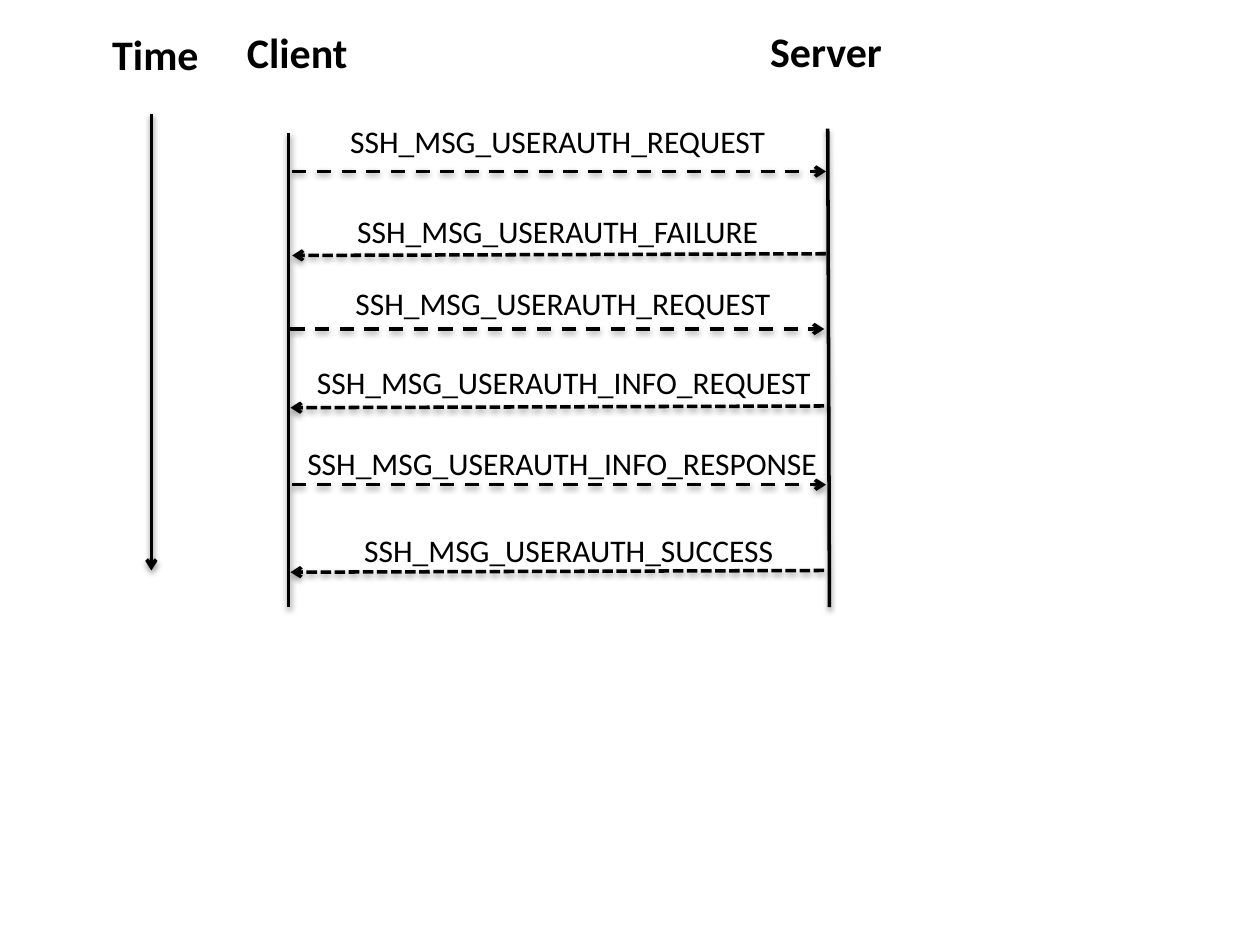
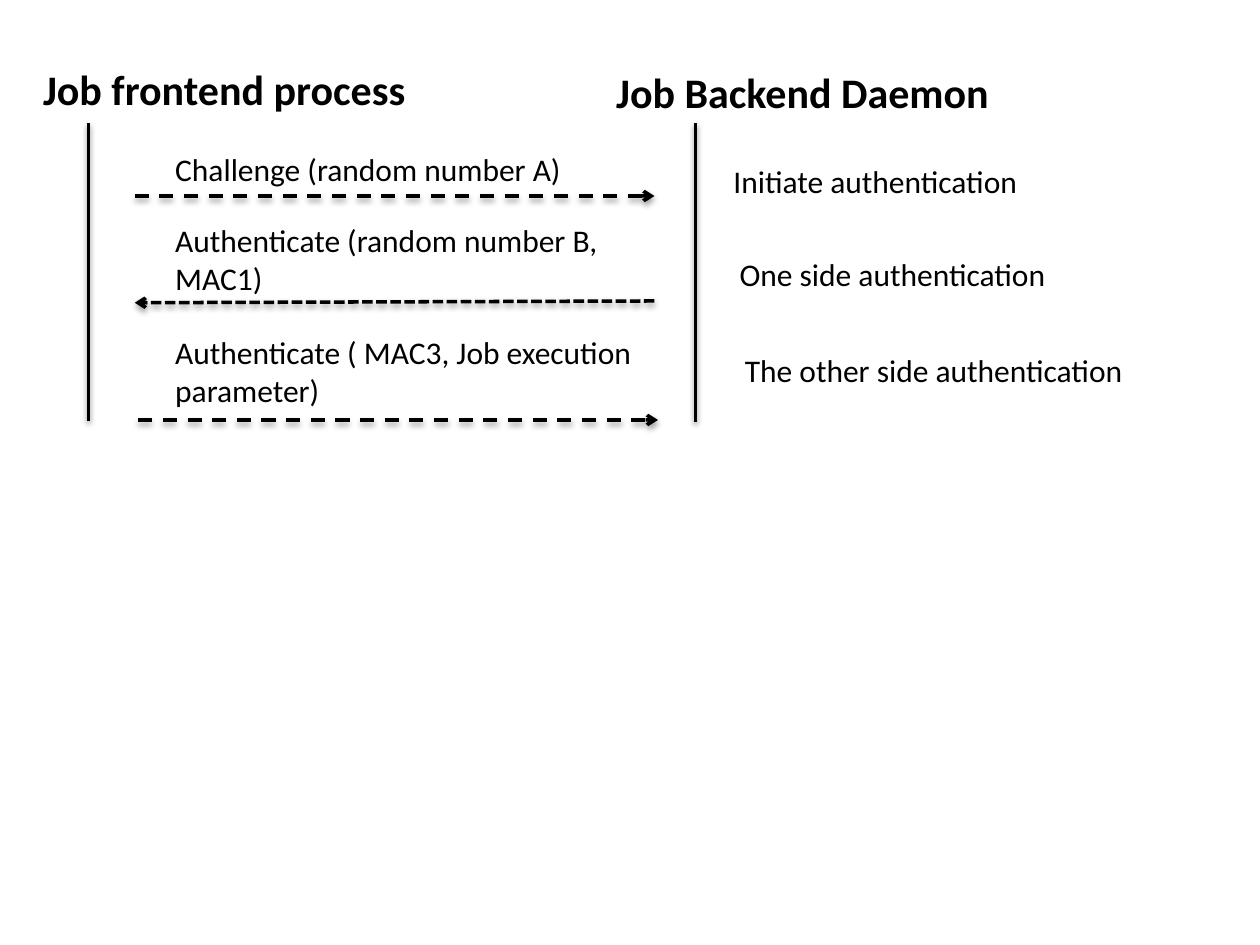
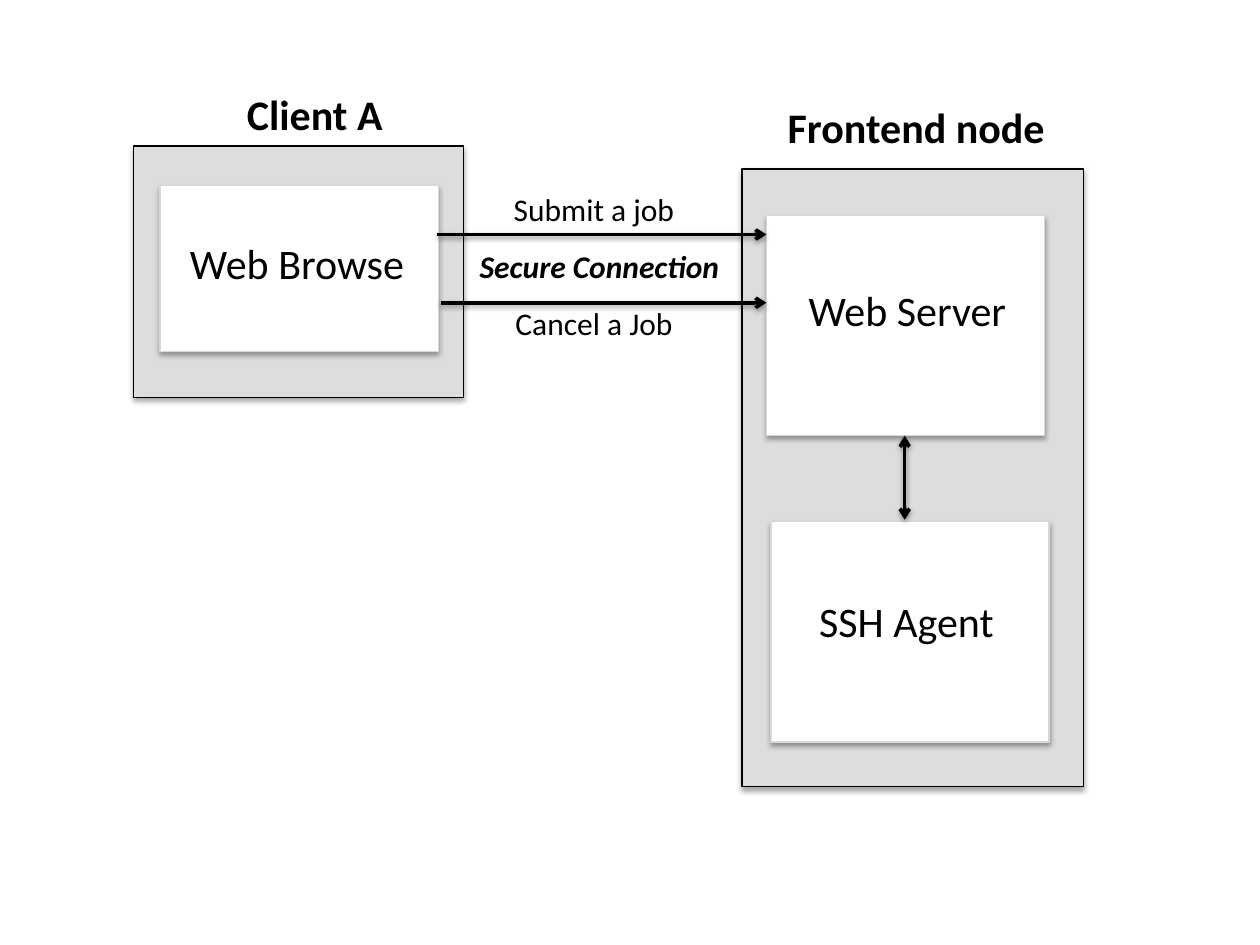
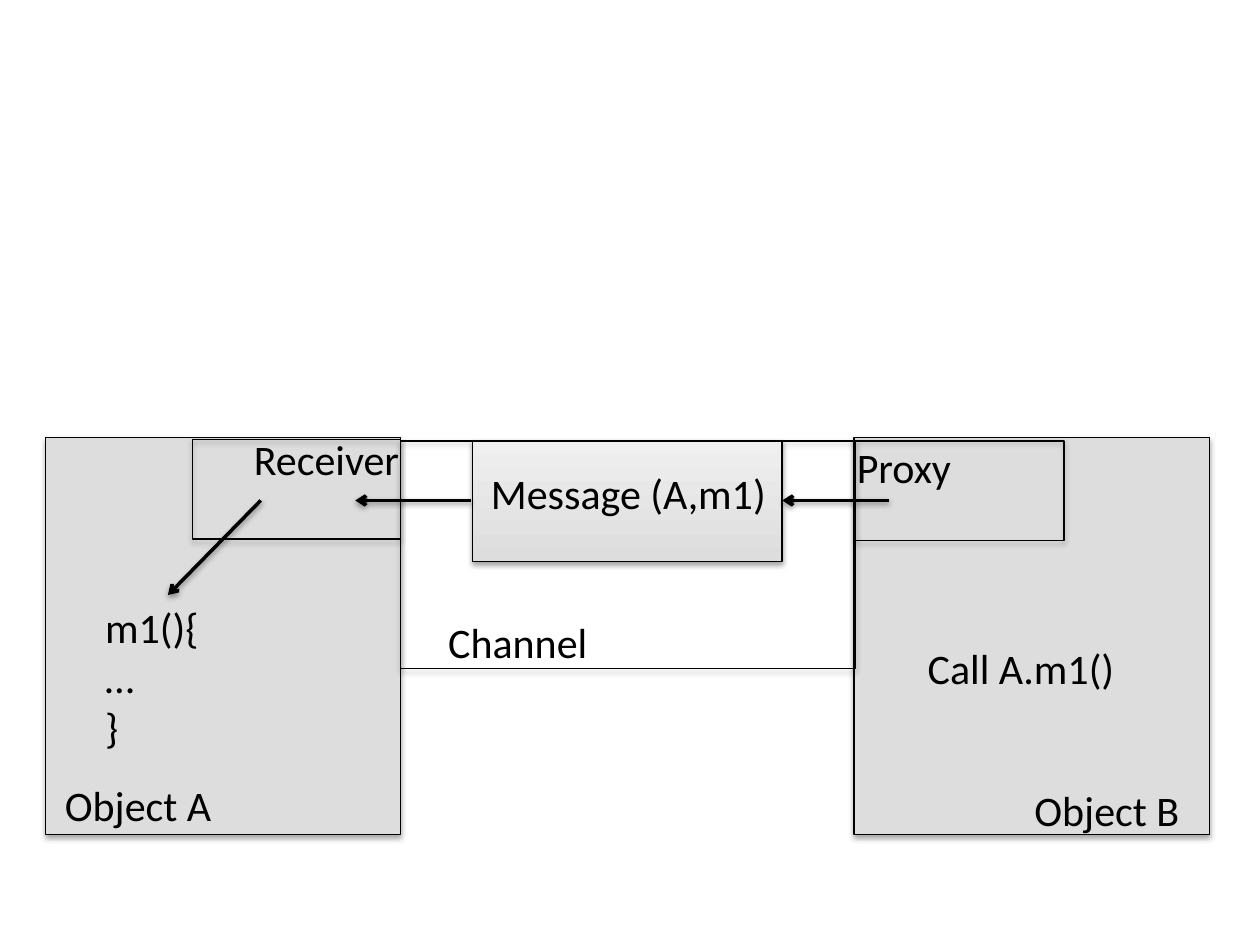
from lxml.etree import SubElement
from pptx import Presentation
from pptx.dml.color import RGBColor
from pptx.enum.dml import MSO_LINE
from pptx.enum.shapes import MSO_CONNECTOR, MSO_SHAPE
from pptx.enum.text import MSO_AUTO_SIZE
from pptx.oxml.ns import qn
from pptx.util import Pt

BLACK = RGBColor(0x00, 0x00, 0x00)
WHITE = RGBColor(0xFF, 0xFF, 0xFF)
GREY = RGBColor(0xDD, 0xDD, 0xDD)
PALE = RGBColor(0xEF, 0xEF, 0xEF)
EDGE = RGBColor(0xD8, 0xD8, 0xD8)
FONT = "Calibri"
BIG, SMALL = 24, 18

# Labels: text, left, top, width, size, style ("b", "i"), lines of height
# Lines: x1, y1, x2, y2, ends ("head", "tail")
# Messages: text, left, top, width, lines of height, arrow left, arrow y
LOGIN = {
    "labels": [
        ("Client", 134, 11.5, 229, BIG, "b", 1),
        ("Server", 433, 11, 259, BIG, "b", 1),
        ("Time", 57, 13, 229, BIG, "b", 1),
    ],
    "lines": [
        (165, 76, 165, 347, ""),
        (473, 73.5, 474, 347, ""),
        (86.5, 65, 86.5, 326, "tail"),
    ],
    "span": 305,
    "messages": [
        ("SSH_MSG_USERAUTH_REQUEST", 193, 66, 300, 1, 167, 98),
        ("SSH_MSG_USERAUTH_FAILURE", 197, 117.5, 300, 1, 167, 145),
        ("SSH_MSG_USERAUTH_REQUEST", 196, 159, 300, 1, 166, 188),
        ("SSH_MSG_USERAUTH_INFO_REQUEST", 174, 204, 300, 1, 166, 232),
        ("SSH_MSG_USERAUTH_INFO_RESPONSE", 168.5, 250, 331, 1, 167, 277),
        ("SSH_MSG_USERAUTH_SUCCESS", 201, 300, 300, 1, 166, 326),
    ],
}
DAEMON = {
    "labels": [
        ("Job frontend process", 17.5, 33, 229, BIG, "b", 1),
        ("Job Backend Daemon", 345, 34.5, 259, BIG, "b", 1),
        ("Initiate authentication", 412, 89, 300, SMALL, "", 1),
        ("One side authentication", 415.5, 142, 300, SMALL, "", 1),
        ("The other side authentication", 418.5, 197, 300, SMALL, "", 1),
    ],
    "lines": [
        (50.5, 70.5, 50.5, 240.5, ""),
        (397.5, 70.5, 397.5, 241, ""),
    ],
    "span": 297,
    "messages": [
        ("Challenge (random number A)", 93, 82, 300, 1, 77, 112),
        ("Authenticate (random number B, MAC1)", 93, 123, 300, 2, 77, 172),
        ("Authenticate ( MAC3, Job execution parameter)",
         93, 187, 300, 2, 79, 240),
    ],
}
NODES = {
    # Boxes: left, top, width, height, fill colours, edge
    "boxes": [
        (76.5, 83.5, 188.5, 143.5, [GREY], BLACK),
        (91.5, 106, 159, 95, [WHITE], EDGE),
        (424, 96.5, 195, 353, [GREY], BLACK),
        (438, 123, 159, 126, [WHITE], EDGE),
        (440.5, 298, 159, 126, [WHITE], EDGE),
    ],
    "labels": [
        ("Client A", 134, 47, 203, BIG, "b", 1),
        ("Frontend node", 443, 54.5, 203, BIG, "b", 1),
        ("Submit a job", 286.5, 105, 208, SMALL, "", 1),
        ("Secure Connection", 267, 137.5, 208, SMALL, "bi", 1),
        ("Cancel a Job", 287.5, 170, 208, SMALL, "", 1),
        ("Web Browse", 101.5, 132, 200, BIG, "", 2),
        ("Web Server", 455, 159, 200, BIG, "", 2),
        ("SSH Agent", 461, 337, 200, BIG, "", 2),
    ],
    "lines": [
        (250, 134, 438, 134, "tail"),
        (252, 173, 438, 173, "tail"),
        (517, 249, 517, 297, "head tail"),
    ],
}
CALL = {
    "boxes": [
        (26, 250, 203, 227, [GREY], BLACK),
        (488, 250, 203, 227, [GREY], BLACK),
        (489, 252, 119, 57, [], BLACK),
        (229, 252, 260, 130, [], BLACK),
        (110, 251, 119, 57, [], BLACK),
        (270, 252, 177, 69, [GREY, PALE], BLACK),
    ],
    "labels": [
        ("Channel", 249, 349, 275, BIG, "", 1),
        ("Proxy", 482.5, 249, 275, BIG, "", 1),
        ("Object B", 584, 445, 275, BIG, "", 1),
        ("Object A", 30, 442, 275, BIG, "", 1),
        ("Receiver", 138, 244, 275, BIG, "", 1),
        ("Call A.m1()", 523, 363.5, 275, BIG, "", 1),
        ("Message (A,m1)", 273.5, 263.5, 188, BIG, "", 2),
        ("m1(){\n…\n}", 53, 340, 275, BIG, "", 3),
    ],
    "lines": [
        (508, 286, 447, 286, "tail"),
        (269, 286, 203, 286, "tail"),
        (149, 286, 96, 340, "tail"),
    ],
}


def add_shade(item, dist, alpha):
    """Give a shape or connector a soft shadow straight below it."""
    effects = SubElement(item._element.spPr, qn("a:effectLst"))
    shade = SubElement(effects, qn("a:outerShdw"), blurRad=str(Pt(3.15)),
                       dist=str(Pt(dist)), dir="5400000", rotWithShape="0")
    tint = SubElement(shade, qn("a:srgbClr"), val=str(BLACK))
    SubElement(tint, qn("a:alpha"), val=str(alpha * 1000))


def add_box(slide, left, top, width, height, fills, edge):
    box = slide.shapes.add_shape(MSO_SHAPE.RECTANGLE, Pt(left), Pt(top),
                                 Pt(width), Pt(height))
    if len(fills) == 2:
        box.fill.gradient()
        box.fill.gradient_angle = 90
        for stop, shade in zip(box.fill.gradient_stops, fills):
            stop.color.rgb = shade
    elif fills:
        box.fill.solid()
        box.fill.fore_color.rgb = fills[0]
    else:
        box.fill.background()
    box.line.color.rgb = edge
    box.line.width = Pt(0.75)
    add_shade(box, 1.8, 35)


def add_label(slide, text, left, top, width, size, style, rows):
    height = rows * size * 1.2 + 7.2
    box = slide.shapes.add_textbox(Pt(left), Pt(top), Pt(width), Pt(height))
    frame = box.text_frame
    frame.word_wrap = True
    frame.auto_size = MSO_AUTO_SIZE.SHAPE_TO_FIT_TEXT
    for i, part in enumerate(text.split("\n")):
        para = frame.add_paragraph() if i else frame.paragraphs[0]
        run = para.add_run()
        run.text = part
        font = run.font
        font.name, font.size = FONT, Pt(size)
        font.bold, font.italic = "b" in style, "i" in style
        font.color.rgb = BLACK


def add_line(slide, x1, y1, x2, y2, ends, dash=None):
    line = slide.shapes.add_connector(MSO_CONNECTOR.STRAIGHT,
                                      Pt(x1), Pt(y1), Pt(x2), Pt(y2))
    line.line.color.rgb = BLACK
    line.line.width = Pt(2)
    if dash:
        line.line.dash_style = dash
    for end in ends.split():
        SubElement(line.line._get_or_add_ln(), qn(f"a:{end}End"), type="arrow")
    add_shade(line, 1.6, 38)


def add_messages(slide, messages, span):
    """Draw labelled arrows that go right and left by turns."""
    for i, (text, left, top, width, rows, start, y) in enumerate(messages):
        add_label(slide, text, left, top, width, SMALL, "", rows)
        if i % 2:
            add_line(slide, start + span, y, start, y + 1, "tail",
                     MSO_LINE.SQUARE_DOT)
        else:
            add_line(slide, start, y, start + span, y, "tail", MSO_LINE.DASH)


def main():
    deck = Presentation()
    deck.slide_width, deck.slide_height = Pt(720), Pt(540)
    for plan in (LOGIN, DAEMON, NODES, CALL):
        slide = deck.slides.add_slide(deck.slide_layouts[6])
        for box in plan.get("boxes", []):
            add_box(slide, *box)
        for label in plan["labels"]:
            add_label(slide, *label)
        for line in plan["lines"]:
            add_line(slide, *line)
        add_messages(slide, plan.get("messages", []), plan.get("span"))
    deck.save("out.pptx")


if __name__ == "__main__":
    main()
